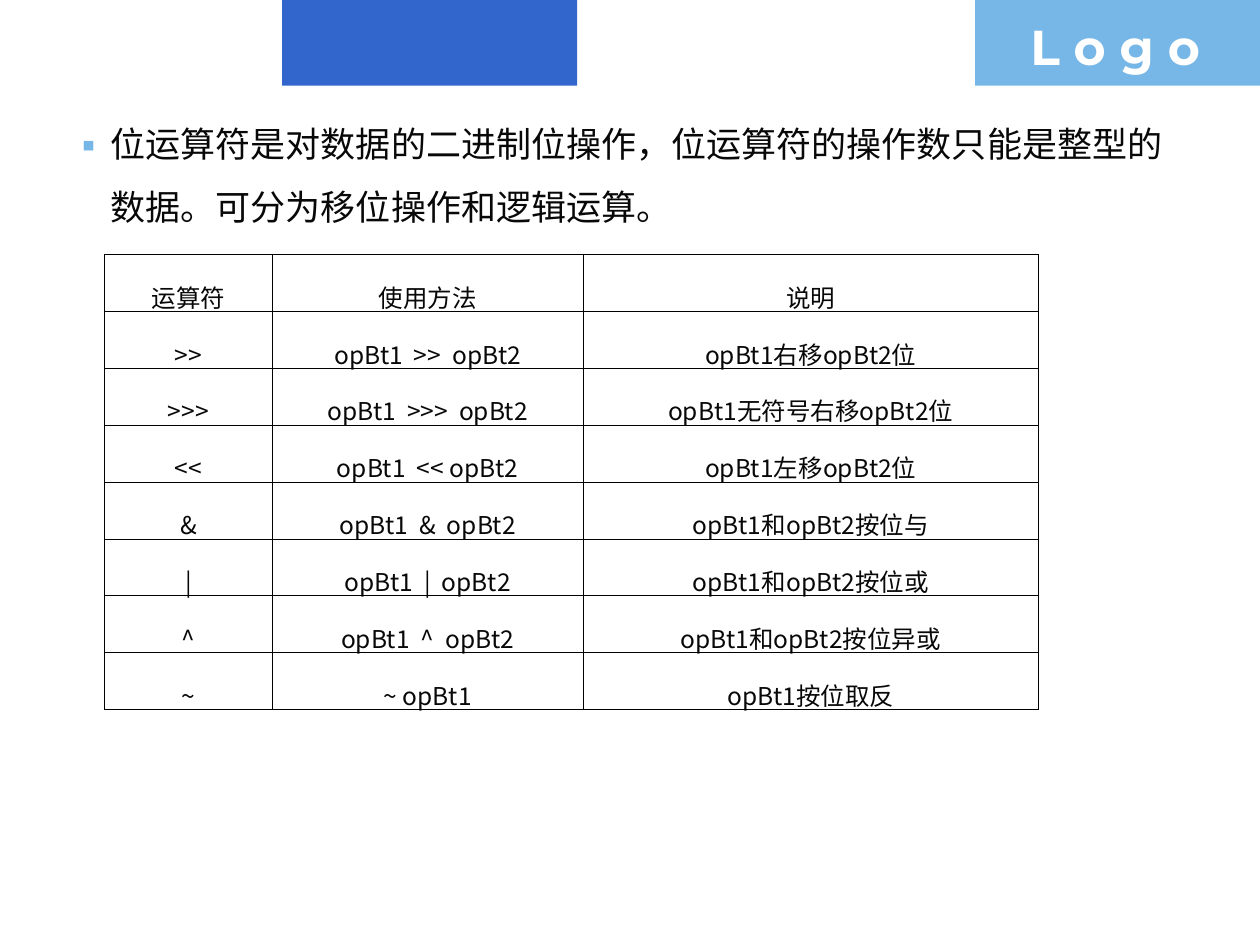
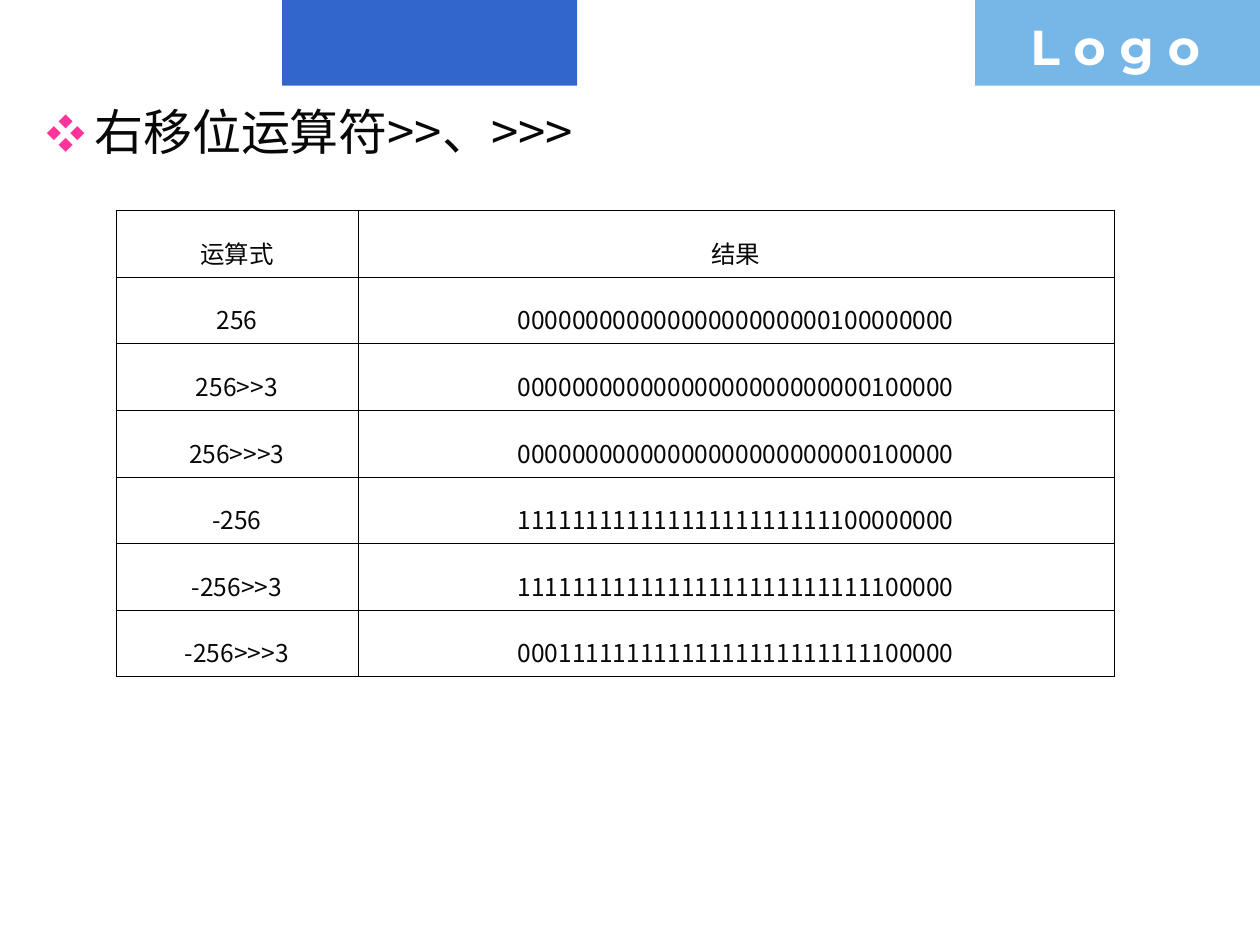
import pptx
import pptx.util
import pptx.dml.color
import pptx.enum.shapes
import pptx.enum.text
import pptx.oxml
import pptx.oxml.ns

Inches = pptx.util.Inches
Pt = pptx.util.Pt
Align = pptx.enum.text.PP_ALIGN
Anchor = pptx.enum.text.MSO_ANCHOR

SANS, LATIN = "Noto Sans CJK SC", "Montserrat"
INK, WHITE, BLUE, SKY, PINK = "080808", "FFFFFF", "3366CC", "77B7E7", "FF3399"
BANDS = [(2.24, 2.34, BLUE), (7.74, 2.26, SKY)]  # left, width, colour
BAND_H = 0.68

PAGES = [
    {
        "text": "位运算符是对数据的二进制位操作，位运算符的操作数只能是整型的数据。可分为移位操作和逻辑运算。",
        "box": (-0.03, 0.76, 9.5, 1.73),
        "style": {"size": 20, "mark": "▪", "tint": SKY, "scale": 100,
                  "left": 0.81, "hang": 0.31, "level": 1, "before": 5, "line": 1.5},
        "spot": (0.83, 2.02),
        "cols": [1.33, 2.47, 3.61],
        "high": 3.61,
        "rows": [
            ("运算符", "使用方法", "说明"),
            (">>", "opBt1  >>  opBt2", "opBt1右移opBt2位"),
            (">>>", "opBt1  >>>  opBt2", "opBt1无符号右移opBt2位"),
            ("<<", "opBt1  << opBt2", "opBt1左移opBt2位"),
            ("&", "opBt1  &  opBt2", "opBt1和opBt2按位与"),
            ("|", "opBt1  |  opBt2", "opBt1和opBt2按位或"),
            ("^", "opBt1  ^  opBt2", "opBt1和opBt2按位异或"),
            ("~", "~ opBt1", "opBt1按位取反"),
        ],
    },
    {
        "text": "右移位运算符>>、>>>",
        "box": (0.27, 0.76, 9.5, 0.6),
        "style": {"size": 28, "mark": "❖", "tint": PINK, "scale": 80,
                  "left": 0.38, "hang": 0.38, "level": 0, "before": 7, "line": 1},
        "spot": (0.92, 1.67),
        "cols": [1.92, 6],
        "high": 3.7,
        "rows": [
            ("运算式", "结果"),
            ("256", "00000000000000000000000100000000"),
            ("256>>3", "00000000000000000000000000100000"),
            ("256>>>3", "00000000000000000000000000100000"),
            ("-256", "11111111111111111111111100000000"),
            ("-256>>3", "11111111111111111111111111100000"),
            ("-256>>>3", "00011111111111111111111111100000"),
        ],
    },
]


def color(code):
    return pptx.dml.color.RGBColor.from_string(code)


def parse(tag, attrs="", body=""):
    space = pptx.oxml.ns.nsdecls("a")
    return pptx.oxml.parse_xml(f"<a:{tag} {space} {attrs}>{body}</a:{tag}>")


def write(para, text, size, code=INK, face=SANS, bold=False):
    run = para.add_run()
    run.text = text
    font = run.font
    font.size, font.bold, font.name = Pt(size), bold, face
    font.color.rgb = color(code)
    run._r.get_or_add_rPr().append(parse("ea", f'typeface="{face}"'))


def frame(slide, box):
    """Add a wrapping text box and return its text frame."""
    area = slide.shapes.add_textbox(*map(Inches, box)).text_frame
    area.word_wrap = True
    return area


def header(slide):
    kind = pptx.enum.shapes.MSO_SHAPE.RECTANGLE
    for left, width, code in BANDS:
        band = slide.shapes.add_shape(kind, Inches(left), 0, Inches(width), Inches(BAND_H))
        band.shadow.inherit = False
        band.fill.solid()
        band.fill.fore_color.rgb = color(code)
        band.line.fill.background()
    area = frame(slide, (8.08, 0.08, 1.93, 0.57))
    area.auto_size = pptx.enum.text.MSO_AUTO_SIZE.SHAPE_TO_FIT_TEXT
    write(area.paragraphs[0], "L o g o", 28, WHITE, LATIN, True)


def rule(cell):
    """Draw thin black lines on all four sides of a cell."""
    props = cell._tc.get_or_add_tcPr()
    fill = '<a:solidFill><a:srgbClr val="000000"/></a:solidFill>'
    for spot, side in enumerate("LRTB"):
        props.insert(spot, parse("ln" + side, f'w="{Pt(0.23)}"', fill))


def grid(slide, page):
    rows, cols = page["rows"], page["cols"]
    left, top = page["spot"]
    table = slide.shapes.add_table(len(rows), len(cols), Inches(left), Inches(top),
                                   Inches(sum(cols)), Inches(page["high"])).table
    table.first_row = table.horz_banding = False
    for col, width in zip(table.columns, cols):
        col.width = Inches(width)
    for r, row in enumerate(rows):
        for c, text in enumerate(row):
            cell = table.cell(r, c)
            cell.vertical_anchor = Anchor.MIDDLE
            cell.fill.background()
            rule(cell)
            para = cell.text_frame.paragraphs[0]
            para.alignment = Align.CENTER
            para.line_spacing = 1.5
            para.space_before = para.space_after = Pt(3.5)
            write(para, text, 14)


def point(slide, page):
    """Add the bulleted statement of a page."""
    style = page["style"]
    para = frame(slide, page["box"]).paragraphs[0]
    para.level = style["level"]
    para.line_spacing = style["line"]
    para.space_before = Pt(style["before"])
    props = para._p.get_or_add_pPr()
    props.set("marL", str(Inches(style["left"])))
    props.set("indent", str(-Inches(style["hang"])))
    props.append(parse("buClr", "", f'<a:srgbClr val="{style["tint"]}"/>'))
    props.append(parse("buSzPct", f'val="{style["scale"] * 1000}"'))
    props.append(parse("buFont", f'typeface="{SANS}"'))
    props.append(parse("buChar", f'char="{style["mark"]}"'))
    write(para, page["text"], style["size"])


def main():
    deck = pptx.Presentation()
    deck.slide_width, deck.slide_height = Inches(10), Inches(7.5)
    for page in PAGES:
        slide = deck.slides.add_slide(deck.slide_layouts[6])
        header(slide)
        grid(slide, page)
        point(slide, page)
    deck.save("out.pptx")


if __name__ == "__main__":
    main()
